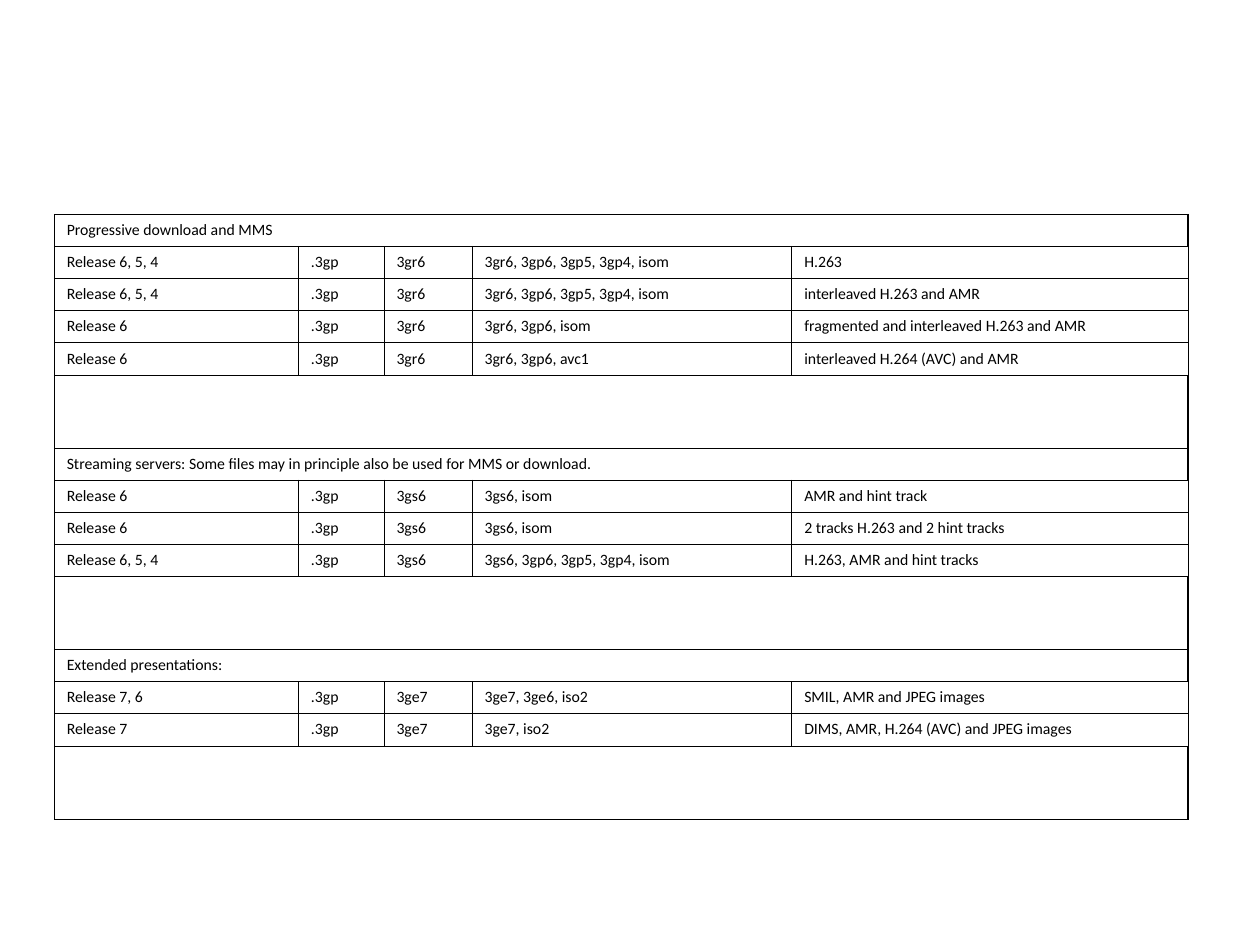
from pptx import Presentation, util as u
from pptx.dml.color import RGBColor
from pptx.oxml import parse_xml
from pptx.oxml.ns import nsdecls

COLUMN_SHARES = [1.94, 0.68, 0.7, 2.54, 3.15]
TEXT_ROW, BLANK_ROW = 1, 2.27
ALL_BRANDS = "3gp6, 3gp5, 3gp4, isom"
SECTIONS = [
    ("Progressive download and MMS", [
        ("Release 6, 5, 4", "3gr6", f"3gr6, {ALL_BRANDS}", "H.263"),
        ("Release 6, 5, 4", "3gr6", f"3gr6, {ALL_BRANDS}", "interleaved H.263 and AMR"),
        ("Release 6", "3gr6", "3gr6, 3gp6, isom", "fragmented and interleaved H.263 and AMR"),
        ("Release 6", "3gr6", "3gr6, 3gp6, avc1", "interleaved H.264 (AVC) and AMR"),
    ]),
    ("Streaming servers: Some files may in principle also be used for MMS or download.", [
        ("Release 6", "3gs6", "3gs6, isom", "AMR and hint track"),
        ("Release 6", "3gs6", "3gs6, isom", "2 tracks H.263 and 2 hint tracks"),
        ("Release 6, 5, 4", "3gs6", f"3gs6, {ALL_BRANDS}", "H.263, AMR and hint tracks"),
    ]),
    ("Extended presentations:", [
        ("Release 7, 6", "3ge7", "3ge7, 3ge6, iso2", "SMIL, AMR and JPEG images"),
        ("Release 7", "3ge7", "3ge7, iso2", "DIMS, AMR, H.264 (AVC) and JPEG images"),
    ]),
]


def color(value):
    """Turn a hex string into a colour."""
    return RGBColor.from_string(value)


def table_rows():
    """List each row as its texts; one text spans the full width."""
    rows = []
    for heading, files in SECTIONS:
        rows.append([heading])
        rows += [[release, ".3gp", *rest] for release, *rest in files]
        rows.append([""])
    return rows


def add_borders(cell, value, right_width):
    """Draw solid lines on the four sides of a cell."""
    properties = cell._tc.get_or_add_tcPr()
    widths = {"L": 0.45, "R": right_width, "T": 0.45, "B": 0.45}
    for side, width in widths.items():
        properties.append(parse_xml(
            f'<a:ln{side} {nsdecls("a")} w="{u.Pt(width)}"><a:solidFill>'
            f'<a:srgbClr val="{value}"/></a:solidFill></a:ln{side}>'))


def style_cell(cell, right_width):
    """Give a cell its borders, margins and clear fill."""
    add_borders(cell, "000000", right_width)
    cell.fill.background()
    cell.margin_left = cell.margin_right = u.Inches(0.1)
    cell.margin_top = cell.margin_bottom = u.Inches(0.05)


def write_cell(cell, content):
    """Write a cell's text in the table's font."""
    cell.text = content
    font = cell.text_frame.paragraphs[0].font
    font.name, font.size = "Calibri", u.Pt(9)
    font.color.rgb = color("000000")


def add_brand_table(slide, left, top, width, height):
    """Place the table of file brands in the given box."""
    rows = table_rows()
    shape = slide.shapes.add_table(len(rows), len(COLUMN_SHARES), left, top, width, height)
    table = shape.table
    table.first_row = table.horz_banding = False
    for column, share in zip(table.columns, COLUMN_SHARES):
        column.width = int(width * share / sum(COLUMN_SHARES))
    weights = [TEXT_ROW if any(row) else BLANK_ROW for row in rows]
    for index, (row, weight) in enumerate(zip(rows, weights)):
        table.rows[index].height = int(height * weight / sum(weights))
        spans = len(row) == 1
        if spans:
            table.cell(index, 0).merge(table.cell(index, len(COLUMN_SHARES) - 1))
        for cell in table.rows[index].cells:
            style_cell(cell, 1.08 if spans else 0.45)
        for position, content in enumerate(row):
            if content:
                write_cell(table.cell(index, position), content)


def main():
    """Build and save the presentation."""
    presentation = Presentation()
    presentation.slide_width, presentation.slide_height = u.Inches(10), u.Inches(7.5)
    slide = presentation.slides.add_slide(presentation.slide_layouts[6])
    add_brand_table(slide, u.Inches(0.43), u.Inches(1.7), u.Inches(9), u.Inches(4.8))
    presentation.save("out.pptx")


if __name__ == "__main__":
    main()
